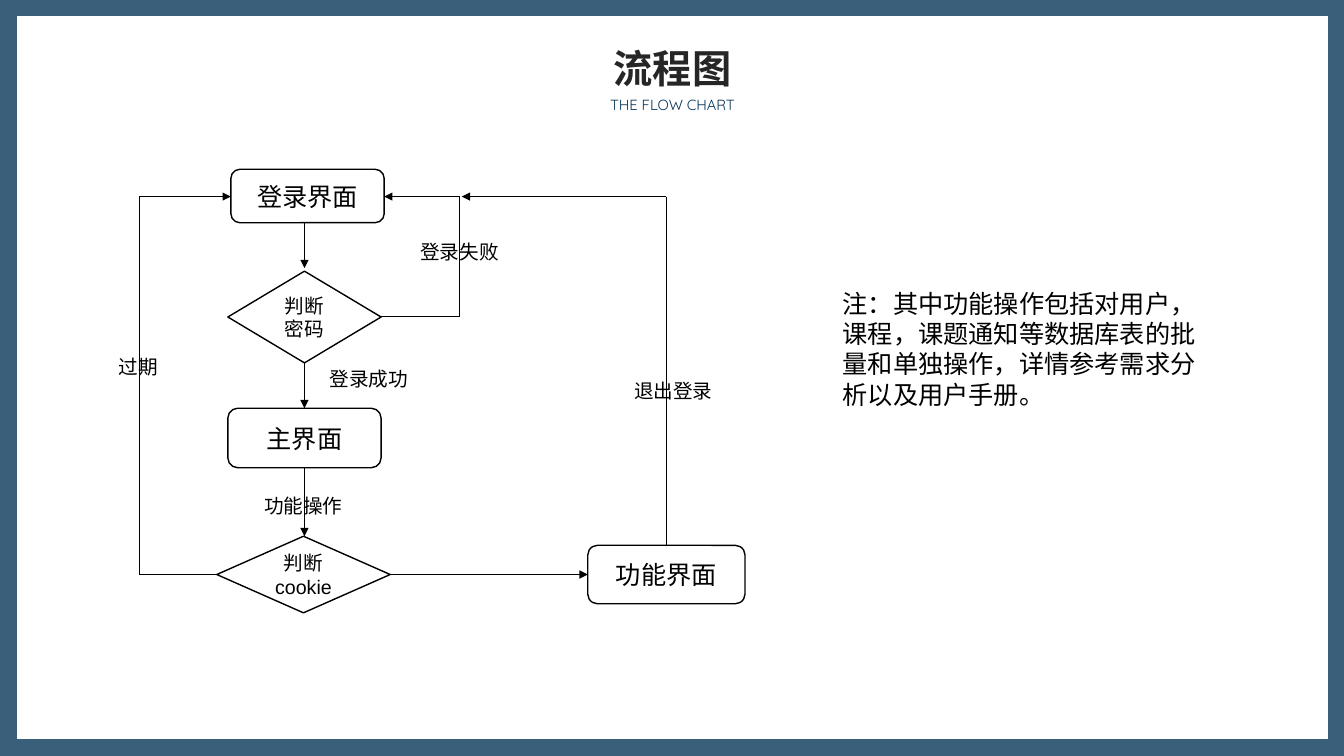
from itertools import pairwise

from lxml import etree
from pptx import Presentation
from pptx.dml.color import RGBColor
from pptx.enum.shapes import MSO_CONNECTOR as Connector, MSO_SHAPE as Shape
from pptx.enum.text import MSO_ANCHOR as Anchor, MSO_AUTO_SIZE as AutoSize, PP_ALIGN as Align
from pptx.oxml.ns import qn
from pptx.util import Inches, Pt

COLORS = {"band": "093759", "paper": "FFFFFF", "ink": "000000", "title": "262626"}


def color(name):
    return RGBColor.from_string(COLORS[name])


def write(shape, text, size, ink="ink", align=Align.LEFT, font="Arial", bold=False, wrap=True):
    frame = shape.text_frame
    frame.word_wrap = wrap
    frame.auto_size = AutoSize.NONE
    paragraph = frame.paragraphs[0]
    paragraph.text = text
    paragraph.alignment = align
    paragraph.font.name = font
    paragraph.font.size = Pt(size)
    paragraph.font.bold = bold
    paragraph.font.color.rgb = color(ink)


def add_filled(slide, kind, box, fill):
    shape = slide.shapes.add_shape(kind, *map(Inches, box))
    shape.shadow.inherit = False
    shape.fill.solid()
    shape.fill.fore_color.rgb = color(fill)
    shape.line.fill.background()
    return shape


def add_text(slide, box, text, size, **style):
    write(slide.shapes.add_textbox(*map(Inches, box)), text, size, **style)


def add_node(slide, kind, box, text, size):
    node = add_filled(slide, kind, box, "paper")
    node.line.color.rgb = color("ink")
    node.line.width = Pt(1)
    node.text_frame.vertical_anchor = Anchor.MIDDLE
    write(node, text, size, align=Align.CENTER)


def add_route(slide, points):
    for start, end in pairwise(points):
        line = slide.shapes.add_connector(Connector.STRAIGHT, *map(Inches, start + end))
        line.line.color.rgb = color("ink")
        line.line.width = Pt(0.5)
        properties = line._element.spPr
        if end == points[-1]:
            etree.SubElement(properties.find(qn("a:ln")), qn("a:tailEnd"), type="triangle")
        etree.SubElement(properties, qn("a:effectLst"))


def add_border(slide, width, height):
    band = add_filled(slide, Shape.RECTANGLE, (0, 0, width, height), "band")
    tint = next(band._element.iter(qn("a:srgbClr")))
    etree.SubElement(tint, qn("a:alpha"), val="80000")
    add_filled(slide, Shape.RECTANGLE, (0.17, 0.16, width - 0.33, height - 0.33), "paper")


def add_heading(slide, left, top, width):
    title = slide.shapes.title
    slide.shapes._spTree.append(title._element)
    title.left, title.top, title.width, title.height = map(Inches, (left, top, width, 0.57))
    title.text_frame.vertical_anchor = Anchor.TOP
    write(title, "流程图", 28, "title", Align.CENTER, bold=True)
    add_text(slide, (left, top + 0.51, width, 0.28), "THE FLOW CHART", 10.5,
             ink="band", align=Align.CENTER, font="Quicksand")


def add_flow(slide, left, top):
    spine, expired_x, failed_x, logout_x = (left + x for x in (1.94, 0.3, 3.48, 5.53))
    login_y, password_y, cookie_y = (top + y for y in (0.27, 1.46, 4.02))

    nodes = [
        (Shape.ROUNDED_RECTANGLE, 1.21, 0, 1.52, 0.53, "登录界面", 18),
        (Shape.ROUNDED_RECTANGLE, 1.18, 2.37, 1.52, 0.59, "主界面", 18),
        (Shape.DIAMOND, 1.18, 1.01, 1.52, 0.91, "判断密码", 14),
        (Shape.ROUNDED_RECTANGLE, 4.75, 3.73, 1.56, 0.58, "功能界面", 18),
        (Shape.DIAMOND, 1.07, 3.64, 1.72, 0.76, "判断cookie", 14),
    ]
    for kind, x, y, width, height, text, size in nodes:
        add_node(slide, kind, (left + x, top + y, width, height), text, size)

    for start, end in [(0.53, 0.98), (1.92, 2.37), (2.96, 3.64)]:
        add_route(slide, [(spine, top + start), (spine, top + end)])
    add_route(slide, [(left + 2.7, password_y), (failed_x, password_y),
                      (failed_x, login_y), (left + 2.73, login_y)])
    add_route(slide, [(left + 1.07, cookie_y), (expired_x, cookie_y),
                      (expired_x, login_y), (left + 1.21, login_y)])
    add_route(slide, [(left + 2.79, cookie_y), (left + 4.75, cookie_y)])
    add_route(slide, [(logout_x, top + 3.73), (logout_x, login_y), (failed_x + 0.02, login_y)])

    labels = [("登录成功", 2.09, 1.91), ("登录失败", 2.99, 0.65), ("过期", 0, 1.79),
              ("功能操作", 1.44, 3.17), ("退出登录", 5.11, 2.03)]
    for text, x, y in labels:
        add_text(slide, (left + x, top + y, 0.2 * len(text) + 0.19, 0.34), text, 14, wrap=False)


def add_note(slide, box):
    add_text(slide, box, "注：其中功能操作包括对用户，课程，课题通知等数据库表的批量和单独操作，"
             "详情参考需求分析以及用户手册。", 18)


def main():
    presentation = Presentation()
    presentation.slide_width = Inches(13.33)
    presentation.slide_height = Inches(7.5)
    slide = presentation.slides.add_slide(presentation.slide_layouts[5])
    add_border(slide, 13.33, 7.5)
    add_heading(slide, 4.61, 0.39, 4.12)
    add_flow(slide, 1.08, 1.68)
    add_note(slide, (8.26, 2.81, 3.8, 1.31))
    presentation.save("out.pptx")


if __name__ == "__main__":
    main()
